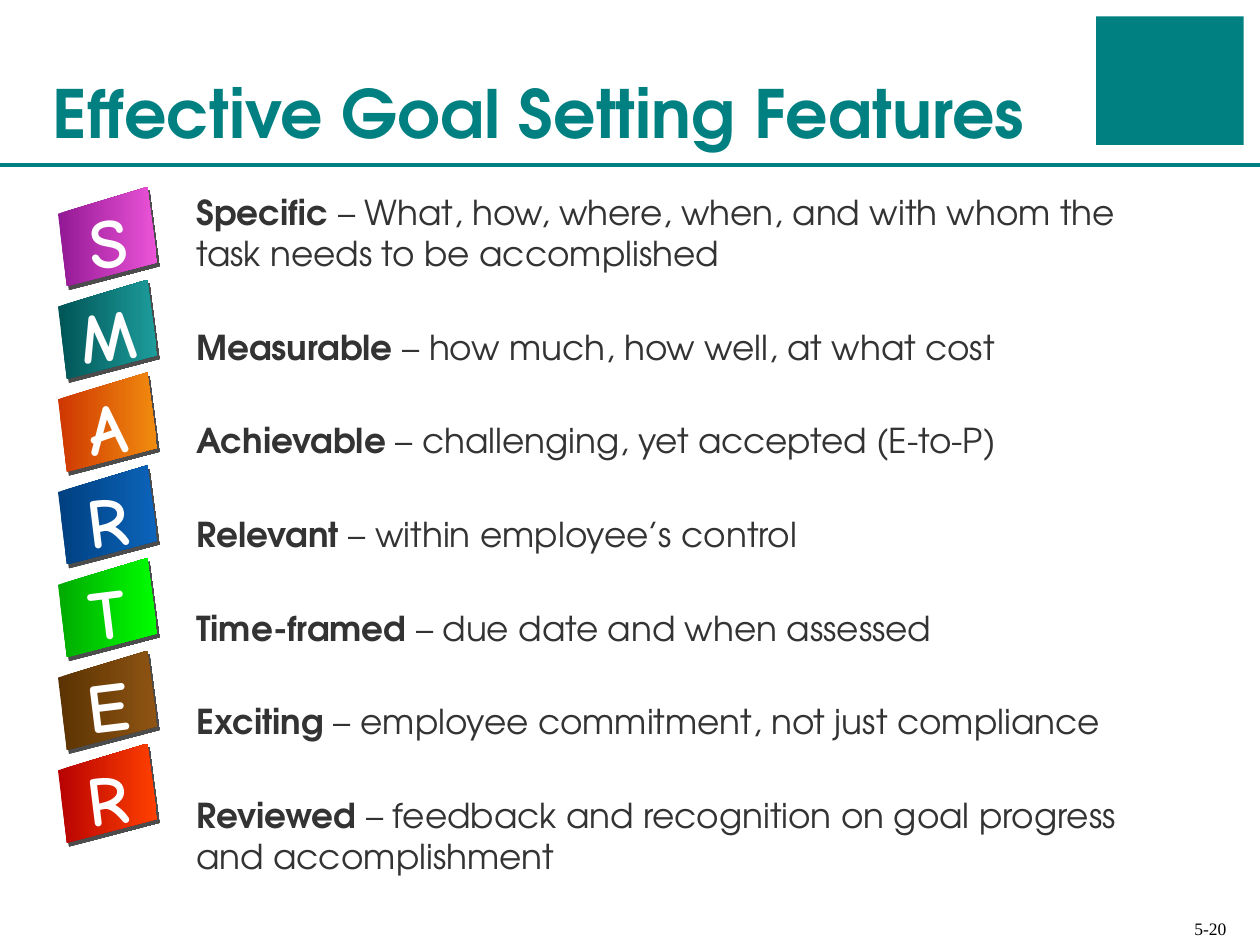
from dataclasses import dataclass

from lxml.etree import SubElement
from pptx import Presentation
from pptx.dml.color import RGBColor
from pptx.enum.shapes import MSO_CONNECTOR as Connector, MSO_SHAPE as Shape
from pptx.enum.text import MSO_ANCHOR as Anchor, PP_ALIGN as Align
from pptx.oxml.ns import qn
from pptx.util import Cm, Pt


@dataclass(frozen=True)
class Theme:
    """Colours, fonts and type sizes of the slide."""
    teal: str = "008080"
    ink: str = "333333"
    black: str = "000000"
    white: str = "FFFFFF"
    sans: str = "TeX Gyre Adventor"
    comic: str = "Comic Neue"
    serif: str = "Times New Roman"
    title: float = 38
    body: float = 19.6
    letter: float = 40
    number: float = 10


THEME = Theme()
FEATURES = [
    ("Specific", "What, how, where, when, and with whom the task needs to be accomplished",
     "921894", "EC54D8"),
    ("Measurable", "how much, how well, at what cost", "005556", "1E9C9C"),
    ("Achievable", "challenging, yet accepted (E-to-P)", "CE3701", "F18C0F"),
    ("Relevant", "within employee’s control", "004080", "0C64BB"),
    ("Time-framed", "due date and when assessed", "00AA01", "00FF00"),
    ("Exciting", "employee commitment, not just compliance", "5B3302", "8F5413"),
    ("Reviewed", "feedback and recognition on goal progress and accomplishment",
     "B70202", "FF4000"),
]
TILE_CORNERS = [(0, 0.27), (0.9, 0), (1, 0.76), (0.09, 1)]


def add_text(slide, box, paragraphs, *, font, size, color, anchor=Anchor.TOP,
             align=Align.LEFT, before=0, after=0, rotation=0):
    """Place paragraphs of (text, bold) runs in a box given in centimetres."""
    holder = slide.shapes.add_textbox(*map(Cm, box))
    holder.rotation = rotation
    frame = holder.text_frame
    frame.word_wrap = True
    frame.vertical_anchor = anchor
    for index, runs in enumerate(paragraphs):
        paragraph = frame.paragraphs[0] if index == 0 else frame.add_paragraph()
        paragraph.alignment = align
        paragraph.space_before, paragraph.space_after = Pt(before), Pt(after)
        for text, bold in runs:
            run = paragraph.add_run()
            run.text = text
            run.font.name, run.font.size, run.font.bold = font, Pt(size), bold
            run.font.color.rgb = RGBColor.from_string(color)


def add_header(slide, box):
    """Draw the title, the corner block and the rule beneath them."""
    left, top, width, height = box
    block = slide.shapes.add_shape(
        Shape.RECTANGLE, Cm(left + width - 3.3), Cm(top + 0.33), Cm(2.97), Cm(2.59))
    block.shadow.inherit = False
    block.fill.solid()
    block.fill.fore_color.rgb = RGBColor.from_string(THEME.teal)
    block.line.fill.background()
    bottom = Cm(top + height)
    rule = slide.shapes.add_connector(
        Connector.STRAIGHT, Cm(left), bottom, Cm(left + width), bottom)
    rule.line.color.rgb = RGBColor.from_string(THEME.teal)
    rule.line.width = Pt(2.5)
    SubElement(rule._element.spPr, qn("a:effectLst"))
    add_text(slide, (left + 0.81, top, 21.08, height - 0.15),
             [[("Effective Goal Setting Features", True)]], font=THEME.sans,
             size=THEME.title, color=THEME.teal, anchor=Anchor.BOTTOM)


def add_tile(slide, box, letter, dark, light):
    """Draw one slanted gradient tile with its letter."""
    left, top, width, height = box
    start, *others = [(Cm(left + x * width), Cm(top + y * height))
                      for x, y in TILE_CORNERS]
    builder = slide.shapes.build_freeform(*start)
    builder.add_line_segments(others, close=True)
    tile = builder.convert_to_shape()
    tile.fill.gradient()
    tile.fill.gradient_angle = 0
    for stop, color in zip(tile.fill.gradient_stops, (dark, light)):
        stop.color.rgb = RGBColor.from_string(color)
    tile.line.fill.background()
    tile.shadow.inherit = False
    effects = tile._element.spPr.find(qn("a:effectLst"))
    shadow = SubElement(effects, qn("a:outerShdw"), dist=str(Pt(2.5)),
                        dir="3600000", algn="ctr", rotWithShape="0")
    shade = SubElement(shadow, qn("a:srgbClr"), val=THEME.black)
    SubElement(shade, qn("a:alpha"), val="70000")
    add_text(slide, (left, top + 0.08, width, height), [[(letter, True)]],
             font=THEME.comic, size=THEME.letter, color=THEME.white,
             anchor=Anchor.MIDDLE, align=Align.CENTER, rotation=-7)


def add_tiles(slide, box):
    """Stack one tile per feature, evenly spaced down the box."""
    left, top, width, height = box
    tile_height = 2
    pitch = (height - tile_height) / (len(FEATURES) - 1)
    for index, (name, _, dark, light) in enumerate(FEATURES):
        add_tile(slide, (left, top + index * pitch, width, tile_height),
                 name[0], dark, light)


def add_features(slide, box):
    """Write the list of features with their names in bold."""
    paragraphs = [[(f"{name} ", True), (f"– {meaning}", False)]
                  for name, meaning, *_ in FEATURES]
    add_text(slide, box, paragraphs, font=THEME.sans, size=THEME.body,
             color=THEME.ink, before=18, after=12)


def add_page_number(slide, box):
    """Write the page number in the bottom right corner."""
    add_text(slide, box, [[("5-20", False)]], font=THEME.serif, size=THEME.number,
             color=THEME.black, anchor=Anchor.BOTTOM, align=Align.RIGHT)


def main():
    """Build the slide and save it."""
    deck = Presentation()
    deck.slide_width, deck.slide_height = Cm(25.4), Cm(19.05)
    slide = deck.slides.add_slide(deck.slide_layouts[6])
    add_header(slide, (0, 0, 25.4, 3.33))
    add_page_number(slide, (18.87, 18.08, 6.1, 0.97))
    add_features(slide, (3.71, 3.73, 19.99, 13.21))
    add_tiles(slide, (1.17, 3.77, 2, 13.22))
    deck.save("out.pptx")


if __name__ == "__main__":
    main()
